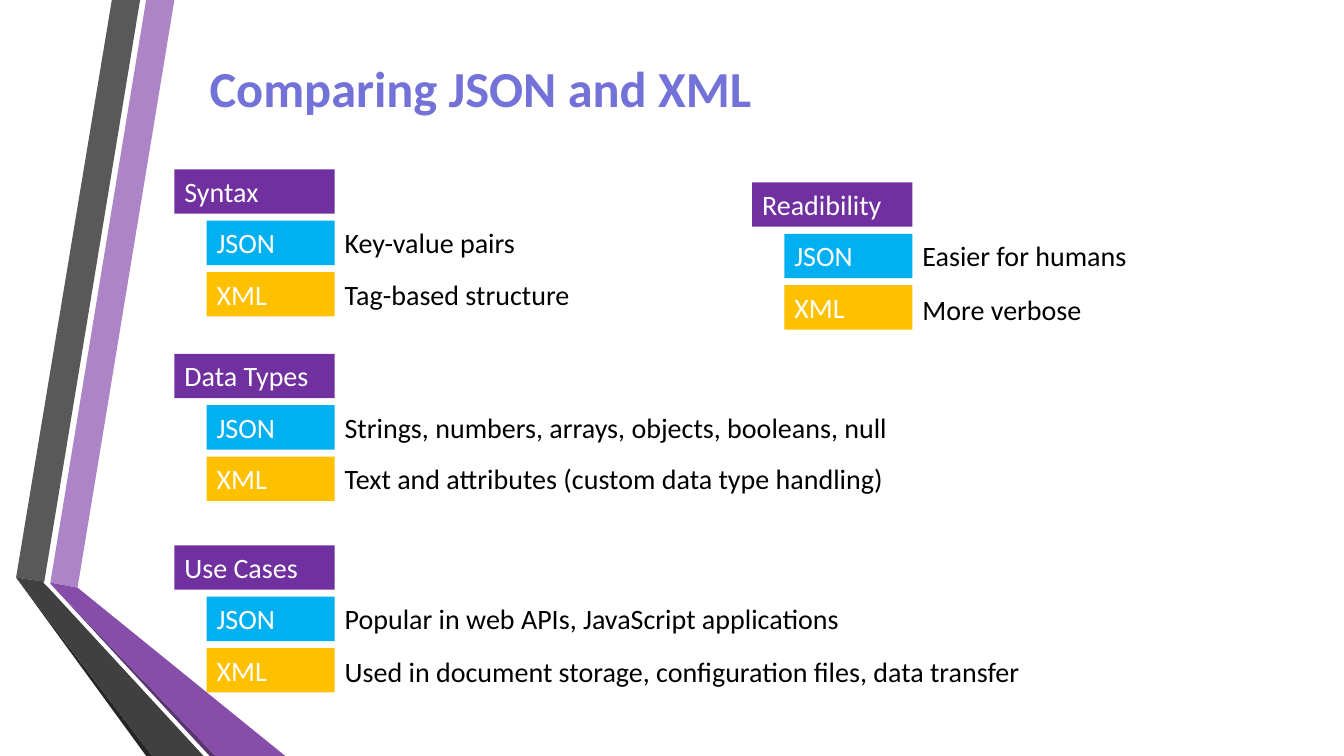
from pptx import Presentation, util as u
from pptx.dml.color import RGBColor
from pptx.enum import shapes, text

PX = u.Inches(1) // 100
FONT = "Calibri"
WHITE = RGBColor(0xFF, 0xFF, 0xFF)
BLACK = RGBColor(0, 0, 0)
TITLE = RGBColor(0x73, 0x72, 0xD8)
PURPLE = RGBColor(0x70, 0x30, 0xA0)
BLUE = RGBColor(0x00, 0xB0, 0xF0)
AMBER = RGBColor(0xFF, 0xC0, 0x00)
LILAC = RGBColor(0xAD, 0x84, 0xC6)
GREY = RGBColor(0x59, 0x59, 0x59)
NEAR_BLACK = RGBColor(0x26, 0x26, 0x26)
PLUM = RGBColor(0x5A, 0x34, 0x71)
VIOLET = RGBColor(0x87, 0x4E, 0xA9)
CHARCOAL = RGBColor(0x40, 0x40, 0x40)

RIBBONS = [
    (LILAC, [(50, 578), (77, 583), (173, 0), (145, 0)]),
    (GREY, [(139, 0), (111, 0), (16, 573), (44, 577)]),
    (NEAR_BLACK, [(16, 573), (145, 750), (151, 750)]),
    (PLUM, [(50, 579), (208, 750), (214, 750)]),
    (VIOLET, [(50, 579), (214, 750), (283, 750), (77, 583), (50, 578)]),
    (CHARCOAL, [(202, 750), (48, 583), (43, 578), (44, 577), (16, 573),
                (151, 750)]),
]

TOPICS = [
    ((173, 168), "Syntax",
     [("Key-value pairs", 197, 0), ("Tag-based structure", 252, 0)]),
    ((173, 351), "Data Types",
     [("Strings, numbers, arrays, objects, booleans, null", 573, 0),
      ("Text and attributes (custom data type handling)", 570, 0)]),
    ((746, 181), "Readibility",
     [("Easier for humans", 228, 0), ("More verbose", 179, 2)]),
    ((173, 541), "Use Cases",
     [("Popular in web APIs, JavaScript applications", 524, 0),
      ("Used in document storage, configuration files, data transfer",
       708, 1)]),
]
FORMATS = [("JSON", BLUE), ("XML", AMBER)]
HEADING_W, INDENT, ROW_H, ROW_STEP = 159, 32, 44, 51


def px(*lengths):
    return [n * PX for n in lengths]


def paint(sp, color):
    sp.shadow.inherit = False
    sp.fill.solid()
    sp.fill.fore_color.rgb = color
    sp.line.fill.background()


def write(sp, words, color, size=20, bold=False, wrap=True):
    tf = sp.text_frame
    tf.word_wrap = wrap
    tf.auto_size = text.MSO_AUTO_SIZE.SHAPE_TO_FIT_TEXT
    tf.vertical_anchor = text.MSO_ANCHOR.TOP
    p = tf.paragraphs[0]
    p.alignment = text.PP_ALIGN.LEFT
    r = p.add_run()
    r.text = words
    r.font.name = FONT
    r.font.size = u.Pt(size)
    r.font.bold = bold
    r.font.color.rgb = color


def add_ribbons(s, left, top):
    for color, points in RIBBONS:
        outline = [(left + x, top + y) for x, y in points]
        builder = s.shapes.build_freeform(*outline[0], scale=PX)
        builder.add_line_segments(outline[1:], close=True)
        paint(builder.convert_to_shape(), color)


def add_title(s, left, top, width, height):
    sp = s.shapes.add_textbox(*px(left, top, width, height))
    write(sp, "Comparing JSON and XML", TITLE, 36, True)


def add_label(s, left, top, width, words, color):
    sp = s.shapes.add_shape(shapes.MSO_SHAPE.RECTANGLE,
                            *px(left, top, width, ROW_H))
    paint(sp, color)
    write(sp, words, WHITE)


def add_topic(s, left, top, heading, notes):
    add_label(s, left, top, HEADING_W, heading, PURPLE)
    for row, ((name, color), (words, width, drop)) in enumerate(
            zip(FORMATS, notes), 1):
        y = top + row * ROW_STEP
        add_label(s, left + INDENT, y, HEADING_W - INDENT, name, color)
        sp = s.shapes.add_textbox(
            *px(left + HEADING_W, y + drop, width, ROW_H))
        write(sp, words, BLACK, wrap=False)


def main():
    prs = Presentation()
    prs.slide_width, prs.slide_height = px(1333, 750)
    s = prs.slides.add_slide(prs.slide_layouts[6])
    add_ribbons(s, 0, 0)
    add_title(s, 198, 52, 594, 71)
    for (left, top), heading, notes in TOPICS:
        add_topic(s, left, top, heading, notes)
    prs.save("out.pptx")


if __name__ == "__main__":
    main()
